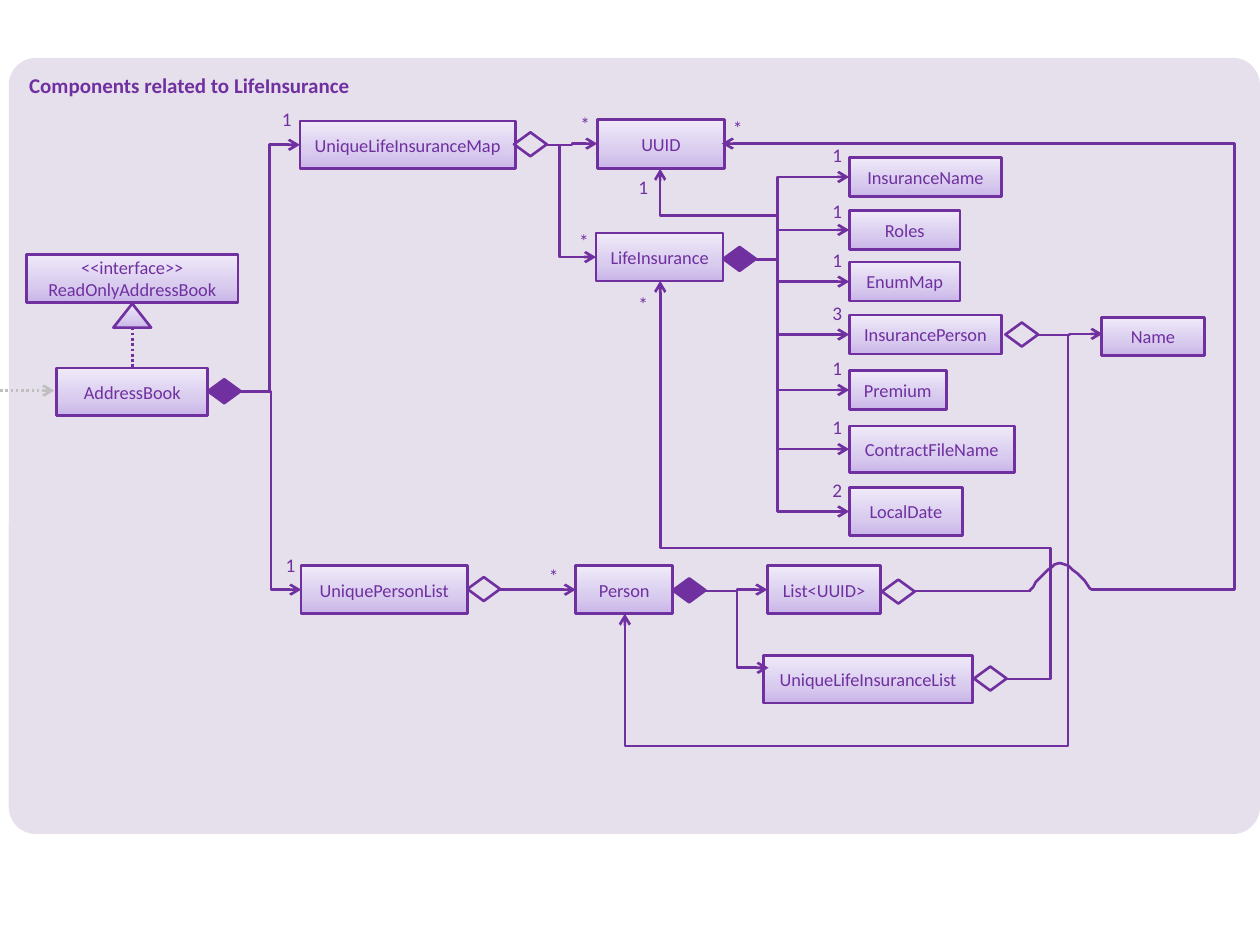
"""Class diagram of the components related to LifeInsurance."""
import copy

import lxml.etree
import pptx
import pptx.dml.color
import pptx.enum.dml
import pptx.enum.shapes
import pptx.enum.text
import pptx.oxml.ns
import pptx.util

COLORS = {"panel": "E6E0EC", "ink": "7030A0", "outside": "BFBFBF",
          "low": "C9B5E8", "middle": "D8CBEE", "high": "F0EAF9"}
RGB = {name: pptx.dml.color.RGBColor.from_string(code) for name, code in COLORS.items()}
SHAPES = pptx.enum.shapes.MSO_SHAPE
CENTER = pptx.enum.text.PP_ALIGN.CENTER
qn = pptx.oxml.ns.qn

deck = pptx.Presentation()
deck.slide_width, deck.slide_height = pptx.util.Inches(10), pptx.util.Inches(7.5)
COLUMN, ROW = deck.slide_width // 1000, deck.slide_height // 750
slide = deck.slides.add_slide(deck.slide_layouts[6])


def add_node(kind, left, top, width, height, fill=None, text=""):
    shape = slide.shapes.add_shape(kind, left * COLUMN, top * ROW, width * COLUMN, height * ROW)
    shape.shadow.inherit = False
    shape.line.color.rgb = RGB["ink"]
    shape.line.width = pptx.util.Pt(1.5)
    if fill == "gradient":
        shape.fill.gradient()
        shape.fill.gradient_angle = 90
        stop_list = shape.element.spPr.find(".//" + qn("a:gsLst"))
        stop_list.insert(1, copy.deepcopy(stop_list[0]))
        stops = ((0, "low"), (0.35, "middle"), (1, "high"))
        for stop, (position, color) in zip(shape.fill.gradient_stops, stops):
            stop.position = position
            stop.color.rgb = RGB[color]
    elif fill:
        shape.fill.solid()
        shape.fill.fore_color.rgb = RGB[fill]
    else:
        shape.fill.background()
    if text:
        frame = shape.text_frame
        frame.word_wrap = True
        frame.margin_left = frame.margin_right = 0
        frame.vertical_anchor = pptx.enum.text.MSO_ANCHOR.MIDDLE
        para = frame.paragraphs[0]
        para.text = text
        para.alignment = CENTER
        para.font.name, para.font.size = "Calibri", pptx.util.Pt(10.5)
        para.font.color.rgb = RGB["ink"]
    return shape


def add_link(start, end, turns=(), color="ink", arrow=True, dotted=False):
    straight = start[0] == end[0] or start[1] == end[1]
    kind = pptx.enum.shapes.MSO_CONNECTOR
    link = slide.shapes.add_connector(
        kind.STRAIGHT if straight else kind.ELBOW,
        start[0] * COLUMN, start[1] * ROW, end[0] * COLUMN, end[1] * ROW)
    properties = link.element.spPr
    if not straight:
        geometry = properties.find(qn("a:prstGeom"))
        geometry.set("prst", f"bentConnector{len(turns) + 2}")
        guides = geometry.get_or_add_avLst()
        for index, turn in enumerate(turns):
            axis = index % 2
            share = (turn - start[axis]) / (end[axis] - start[axis])
            lxml.etree.SubElement(guides, qn("a:gd"), name=f"adj{index + 1}",
                                  fmla=f"val {round(share * 100000)}")
    link.line.color.rgb = RGB[color]
    link.line.width = pptx.util.Pt(1.5)
    if dotted:
        link.line.dash_style = pptx.enum.dml.MSO_LINE.ROUND_DOT
    if arrow:
        lxml.etree.SubElement(properties.find(qn("a:ln")), qn("a:tailEnd"), type="arrow")
    lxml.etree.SubElement(properties, qn("a:effectLst"))


panel = add_node(SHAPES.ROUNDED_RECTANGLE, 7, 46, 993, 616, "panel",
                 "Components related to LifeInsurance")
panel.adjustments[0] = 0.035
panel.line.fill.background()
panel.text_frame.vertical_anchor = pptx.enum.text.MSO_ANCHOR.TOP
panel.text_frame.margin_left = pptx.util.Inches(0.1)
title = panel.text_frame.paragraphs[0]
title.alignment = pptx.enum.text.PP_ALIGN.LEFT
title.font.size, title.font.bold = pptx.util.Pt(12), True

classes = (
    ("AddressBook", 45, 292, 120, 38),
    ("<<interface>>\nReadOnlyAddressBook", 21, 202, 168, 38),
    ("UniqueLifeInsuranceMap", 238, 96, 171, 38),
    ("UniquePersonList", 239, 449, 132, 38),
    ("UUID", 474, 95, 101, 39),
    ("LifeInsurance", 473, 185, 101, 38),
    ("Person", 457, 449, 77, 38),
    ("List<UUID>", 609, 449, 90, 38),
    ("UniqueLifeInsuranceList", 606, 520, 166, 38),
    ("Name", 874, 252, 82, 30),
)
for name, left, top, width, height in classes:
    add_node(SHAPES.RECTANGLE, left, top, width, height, "gradient", name)
add_node(SHAPES.ISOSCELES_TRIANGLE, 90, 241, 30, 19, "gradient")

diamonds = ((165, 301, "ink"), (534, 459, "ink"), (574, 196, "ink"), (408, 105, None),
            (798, 256, None), (371, 458, None), (773, 529, None), (700, 460, None))
for left, top, fill in diamonds:
    add_node(SHAPES.FLOWCHART_DECISION, left, top, 26, 19, fill)

attributes = (
    ("InsuranceName", 125, 121, 31, "1", 114),
    ("Roles", 167, 88, 31, "1", 158),
    ("EnumMap", 208, 88, 31, "1", 197),
    ("InsurancePerson", 250, 121, 31, "3", 239),
    ("Premium", 294, 77, 31, "1", 283),
    ("ContractFileName", 338, 131, 37, "1", 330),
    ("LocalDate", 387, 90, 38, "2", 380),
)
labels = [("*", 429, 448), ("*", 453, 182), ("*", 454, 89), ("*", 575, 92),
          ("*", 500, 232), ("1", 217, 85), ("1", 220, 439), ("1", 500, 139)]
for name, top, width, height, count, label_top in attributes:
    add_node(SHAPES.RECTANGLE, 674, top, width, height, "gradient", name)
    add_link((600, 206), (674, top + height / 2), (617,))
    labels.append((count, 654, label_top))

links = (
    ((190, 311), (239, 468), (215,)),
    ((190, 311), (238, 115), (214,)),
    ((434, 115), (473, 204), (444,)),
    ((434, 115), (474, 114), (454,)),
    ((397, 468), (457, 468)),
    ((560, 469), (609, 468), (585,)),
    ((560, 469), (610, 530), (585,)),
    ((823, 266), (875, 265), (849,)),
    ((618, 171), (524, 134)),
    ((799, 539), (524, 223), (834, 435)),
    ((823, 266), (496, 487), (848, 592)),
    ((866, 468), (573, 114), (980,)),
)
for link in links:
    add_link(*link)
add_link((105, 260), (105, 292), arrow=False, dotted=True)
add_link((0, 310), (43, 310), color="outside", dotted=True)
add_link((725, 469), (818, 469), arrow=False)

hop_curves = (((817, 469), (826, 458), (834, 447), (842, 447)),
              ((842, 447), (851, 447), (867, 469), (867, 469)))
hop_points = []
for curve in hop_curves:
    for step in range(1, 11):
        t = step / 10
        weights = ((1 - t) ** 3, 3 * t * (1 - t) ** 2, 3 * t * t * (1 - t), t ** 3)
        hop_points.append(tuple(sum(weight * point[axis] for weight, point in zip(weights, curve))
                                for axis in (0, 1)))
builder = slide.shapes.build_freeform(817, 469, scale=COLUMN)
builder.add_line_segments(hop_points, close=False)
hop = builder.convert_to_shape()
hop.shadow.inherit = False
hop.fill.background()
hop.line.color.rgb = RGB["ink"]
hop.line.width = pptx.util.Pt(1.5)

for text, left, top in labels:
    box = slide.shapes.add_textbox(left * COLUMN, top * ROW, 21 * COLUMN, 20 * ROW)
    frame = box.text_frame
    frame.word_wrap = True
    frame.margin_left = frame.margin_right = frame.margin_top = frame.margin_bottom = 0
    para = frame.paragraphs[0]
    para.text = text
    para.alignment = CENTER
    para.font.name, para.font.size = "Calibri", pptx.util.Pt(11)
    para.font.color.rgb = RGB["ink"]

deck.save("out.pptx")
